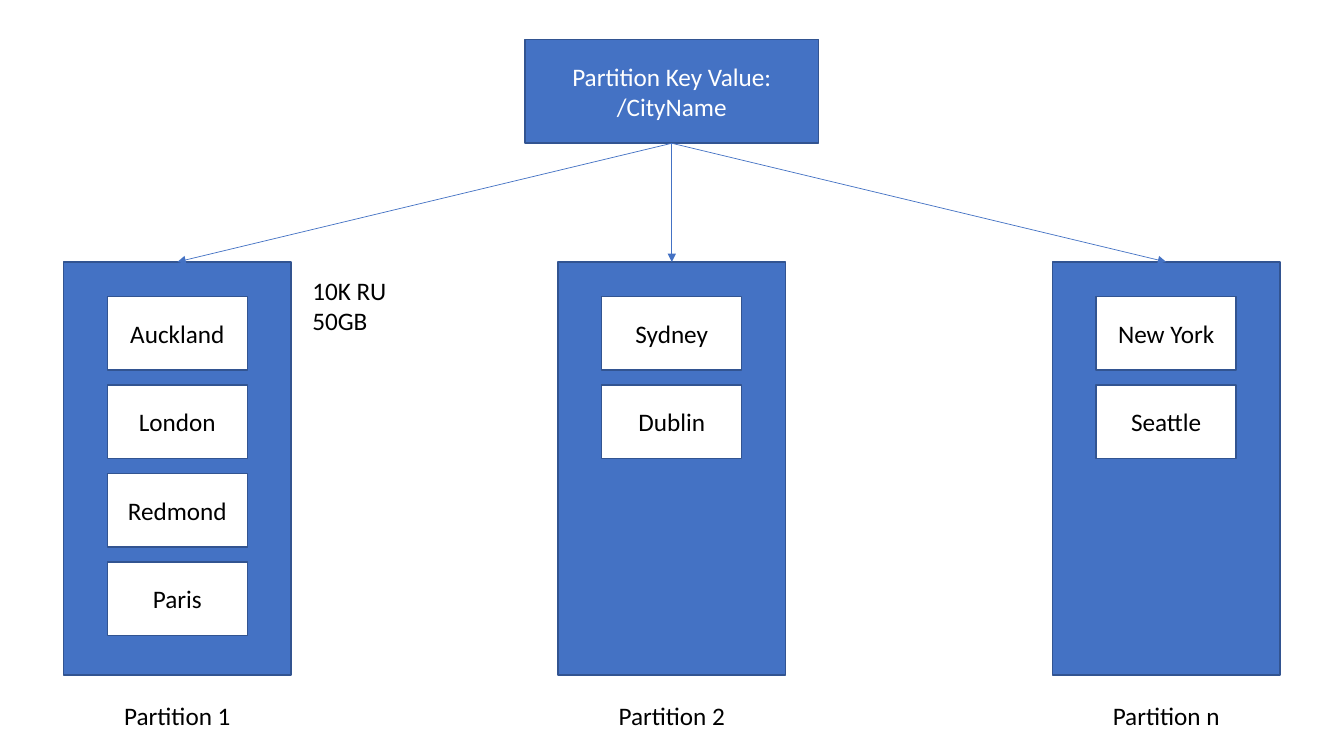
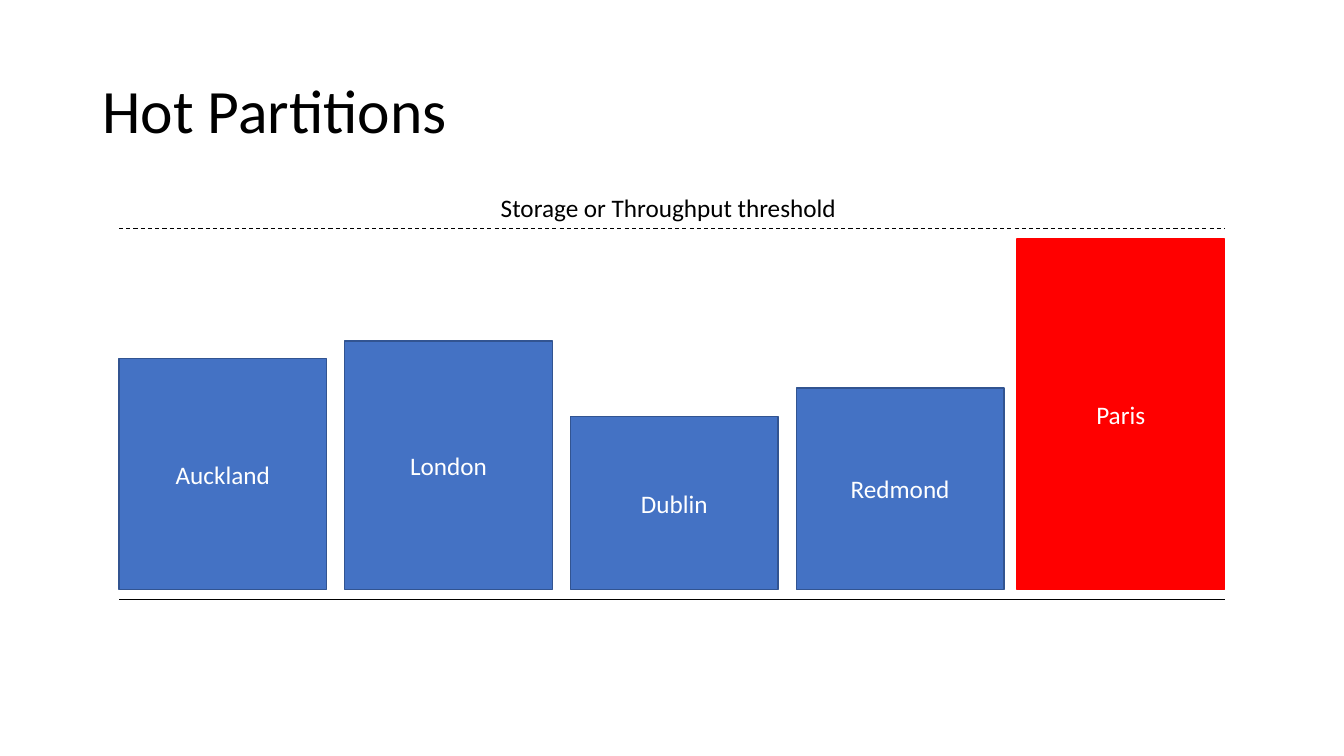
from pptx import Presentation
from pptx import util as u
from pptx.dml.color import RGBColor
from pptx.enum import dml, shapes, text
from pptx.oxml.ns import qn
from lxml import etree

FONT = "Calibri"
BLUE, EDGE, RED = "4472C4", "325491", "FF0000"
WHITE, BLACK = "FFFFFF", "000000"
LEFT, CENTER = text.PP_ALIGN.LEFT, text.PP_ALIGN.CENTER

PARTITIONS = [
    ("Partition 1", ["Auckland", "London", "Redmond", "Paris"]),
    ("Partition 2", ["Sydney", "Dublin"]),
    ("Partition n", ["New York", "Seattle"]),
]
LOADS = [("Auckland", 5.82), ("London", 6.27), ("Dublin", 4.37), ("Redmond", 5.08)]
HOT_LOAD = ("Paris", 8.84)


def rgb(value):
    return RGBColor.from_string(value)


def cm(*values):
    return [u.Cm(v) for v in values]


def apply(obj, formats):
    for name, value in formats.items():
        setattr(obj, name, value)


def write(tf, content, color=BLACK, align=CENTER, size=18, **paragraph):
    tf.text = content
    for p in tf.paragraphs:
        apply(p, {"alignment": align, **paragraph})
        for r in p.runs:
            apply(r.font, {"name": FONT, "size": u.Pt(size)})
            r.font.color.rgb = rgb(color)


def add_box(slide, x, y, w, h, content="", fill=BLUE, line=EDGE, color=WHITE):
    sp = slide.shapes.add_shape(shapes.MSO_SHAPE.RECTANGLE, *cm(x, y, w, h))
    sp.shadow.inherit = False
    sp.fill.solid()
    sp.fill.fore_color.rgb = rgb(fill)
    sp.line.color.rgb = rgb(line)
    sp.line.width = u.Pt(1)
    if content:
        apply(sp.text_frame, {"word_wrap": True, "vertical_anchor": text.MSO_ANCHOR.MIDDLE})
        write(sp.text_frame, content, color)
    return sp


def add_label(slide, x, y, w, h, content, align=CENTER):
    tf = slide.shapes.add_textbox(*cm(x, y, w, h)).text_frame
    apply(tf, {"word_wrap": True, "auto_size": text.MSO_AUTO_SIZE.SHAPE_TO_FIT_TEXT})
    write(tf, content, align=align)


def add_line(slide, x1=0, y1=0, x2=0, y2=0, color=BLACK, width=0.5):
    cx = slide.shapes.add_connector(shapes.MSO_CONNECTOR.STRAIGHT, *cm(x1, y1, x2, y2))
    cx.line.color.rgb = rgb(color)
    cx.line.width = u.Pt(width)
    etree.SubElement(cx._element.spPr, qn("a:effectLst"))
    return cx


def add_arrow(slide, start, end):
    cx = add_line(slide, color=BLUE)
    cx.begin_connect(start, 2)
    cx.end_connect(end, 0)
    etree.SubElement(cx.line._get_or_add_ln(), qn("a:tailEnd"), type="triangle")


def add_title(slide, content):
    title = slide.shapes.title
    apply(title, dict(zip(("left", "top", "width", "height"), cm(2.33, 1.01, 29.21, 3.68))))
    title.text_frame.vertical_anchor = text.MSO_ANCHOR.MIDDLE
    write(title.text_frame, content, align=LEFT, size=44, line_spacing=0.9)


def build_partitions(slide):
    left, top, width, height, step = 1.6, 6.6, 5.74, 10.41, 12.46
    city_w, city_h, city_step = 3.53, 1.86, 2.23
    key = add_box(slide, 13.23, 0.99, 7.4, 2.62, "Partition Key Value:\n/CityName")
    for i, (name, cities) in enumerate(PARTITIONS):
        x = left + i * step
        partition = add_box(slide, x, top, width, height)
        for row, city in enumerate(cities):
            add_box(slide, x + (width - city_w) / 2, 7.47 + row * city_step,
                    city_w, city_h, city, fill=WHITE, color=BLACK)
        add_arrow(slide, key, partition)
        add_label(slide, x, 17.53, width, 1.02, name)
    add_label(slide, 7.62, 6.81, 5.66, 1.8, "10K RU\n50GB", LEFT)


def build_hot_partitions(slide):
    left, right, width, step, bottom = 3, 30.86, 5.23, 5.69, 14.86
    add_title(slide, "Hot Partitions")
    add_line(slide, left, 15.11, right, 15.11)
    for i, (city, load) in enumerate(LOADS):
        add_box(slide, left + i * step, bottom - load, width, load, city)
    city, load = HOT_LOAD
    add_box(slide, right - width, bottom - load, width, load, city, RED, RED)
    threshold = add_line(slide, left, 5.77, right, 5.77, width=0.75)
    threshold.line.dash_style = dml.MSO_LINE.DASH
    add_label(slide, 12.37, 4.72, 9.12, 1.02, "Storage or Throughput threshold", LEFT)


def main():
    prs = Presentation()
    apply(prs, {"slide_width": u.Cm(33.87), "slide_height": u.Cm(19.05)})
    title_only, blank = prs.slide_layouts[5], prs.slide_layouts[6]
    build_partitions(prs.slides.add_slide(blank))
    build_hot_partitions(prs.slides.add_slide(title_only))
    prs.save("out.pptx")


if __name__ == "__main__":
    main()
